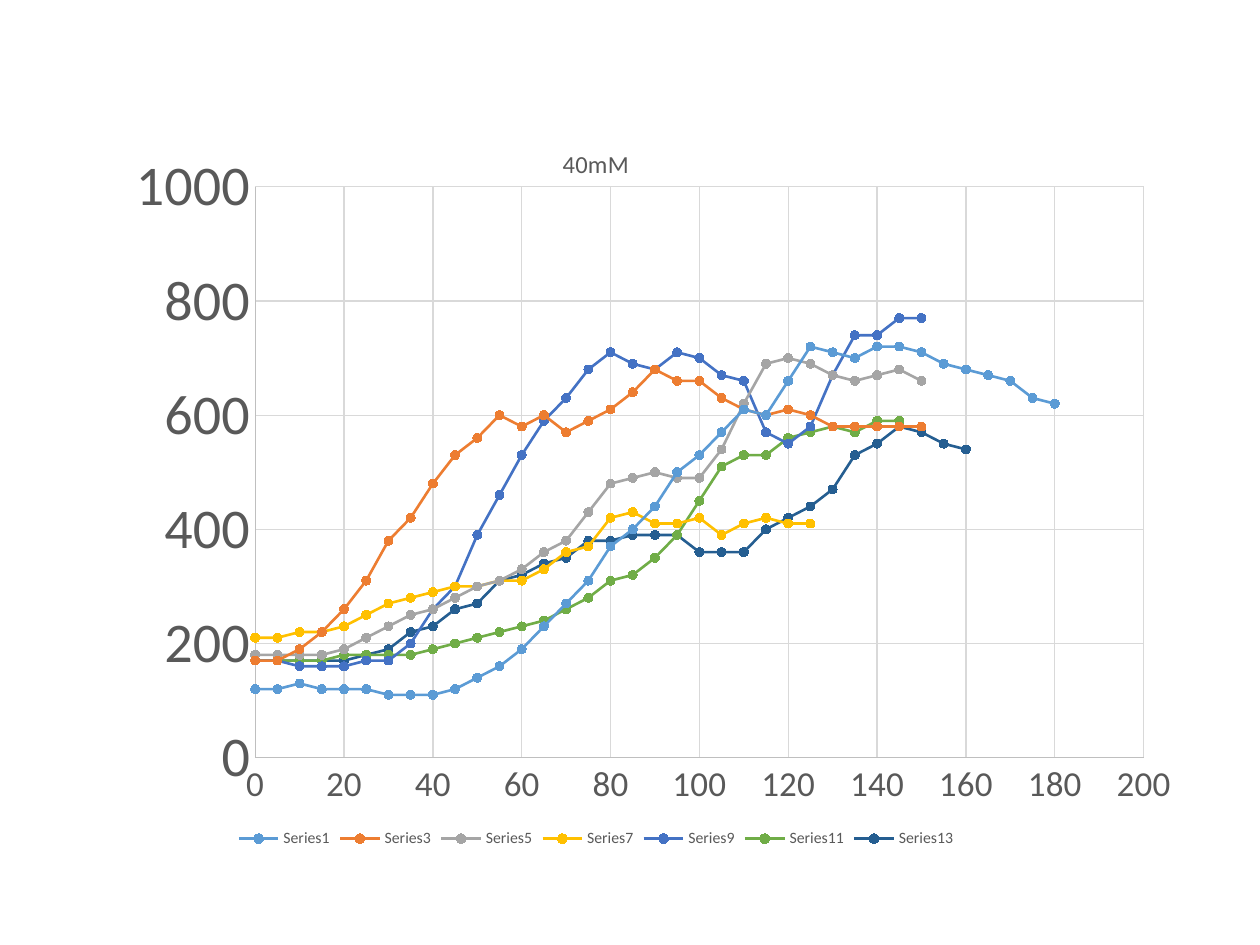
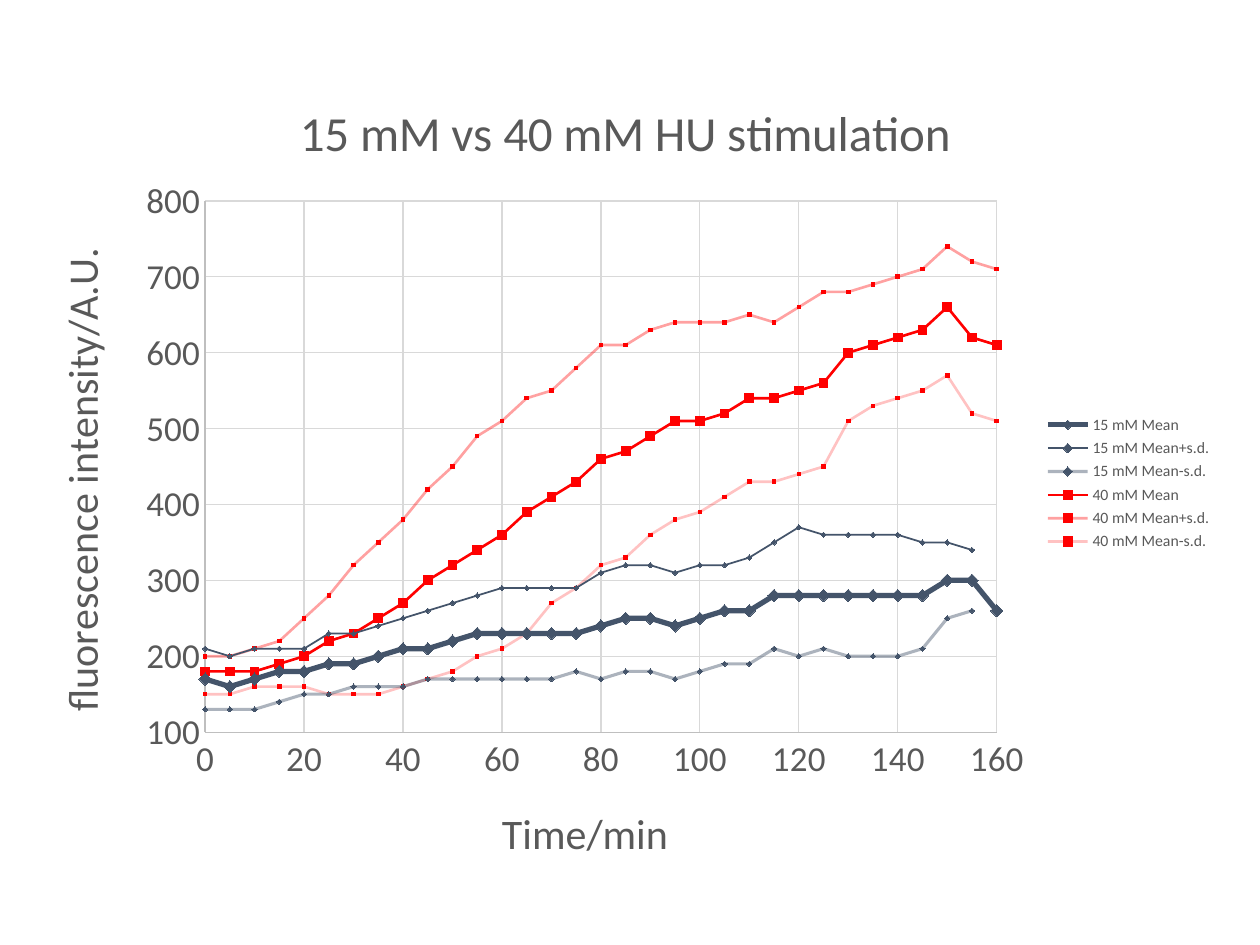
import lxml.etree
import pptx
import pptx.chart.data
import pptx.dml.color
import pptx.enum.chart
import pptx.oxml.ns
import pptx.util

Inches = pptx.util.Inches
Pt = pptx.util.Pt
MARK = pptx.enum.chart.XL_MARKER_STYLE
PLACE = pptx.enum.chart.XL_LEGEND_POSITION
NONE = pptx.enum.chart.XL_TICK_MARK.NONE
FONT = "Calibri"
STEP = 5

HUES = {
    "text": "595959", "axis": "BFBFBF", "grid": "D9D9D9",
    "sky": "5B9BD5", "orange": "ED7D31", "gray": "A5A5A5", "gold": "FFC000",
    "blue": "4472C4", "green": "70AD47", "navy": "255E91",
    "slate": "44546A", "red": "FF0000",
}

CELLS = [
    ("Series1", "sky", [
        120, 120, 130, 120, 120, 120, 110, 110, 110, 120, 140, 160, 190,
        230, 270, 310, 370, 400, 440, 500, 530, 570, 610, 600, 660, 720,
        710, 700, 720, 720, 710, 690, 680, 670, 660, 630, 620]),
    ("Series3", "orange", [
        170, 170, 190, 220, 260, 310, 380, 420, 480, 530, 560, 600, 580,
        600, 570, 590, 610, 640, 680, 660, 660, 630, 610, 600, 610, 600,
        580, 580, 580, 580, 580]),
    ("Series5", "gray", [
        180, 180, 180, 180, 190, 210, 230, 250, 260, 280, 300, 310, 330,
        360, 380, 430, 480, 490, 500, 490, 490, 540, 620, 690, 700, 690,
        670, 660, 670, 680, 660]),
    ("Series7", "gold", [
        210, 210, 220, 220, 230, 250, 270, 280, 290, 300, 300, 310, 310,
        330, 360, 370, 420, 430, 410, 410, 420, 390, 410, 420, 410, 410]),
    ("Series9", "blue", [
        170, 170, 160, 160, 160, 170, 170, 200, 260, 300, 390, 460, 530,
        590, 630, 680, 710, 690, 680, 710, 700, 670, 660, 570, 550, 580,
        670, 740, 740, 770, 770]),
    ("Series11", "green", [
        170, 170, 170, 170, 180, 180, 180, 180, 190, 200, 210, 220, 230,
        240, 260, 280, 310, 320, 350, 390, 450, 510, 530, 530, 560, 570,
        580, 570, 590, 590]),
    ("Series13", "navy", [
        170, 170, 170, 170, 170, 180, 190, 220, 230, 260, 270, 310, 320,
        340, 350, 380, 380, 390, 390, 390, 360, 360, 360, 400, 420, 440,
        470, 530, 550, 580, 570, 550, 540]),
]

MEANS = [
    ("15 mM Mean", [
        170, 160, 170, 180, 180, 190, 190, 200, 210, 210, 220, 230, 230,
        230, 230, 230, 240, 250, 250, 240, 250, 260, 260, 280, 280, 280,
        280, 280, 280, 280, 300, 300, 260]),
    ("15 mM Mean+s.d.", [
        210, 200, 210, 210, 210, 230, 230, 240, 250, 260, 270, 280, 290,
        290, 290, 290, 310, 320, 320, 310, 320, 320, 330, 350, 370, 360,
        360, 360, 360, 350, 350, 340]),
    ("15 mM Mean-s.d.", [
        130, 130, 130, 140, 150, 150, 160, 160, 160, 170, 170, 170, 170,
        170, 170, 180, 170, 180, 180, 170, 180, 190, 190, 210, 200, 210,
        200, 200, 200, 210, 250, 260]),
    ("40 mM Mean", [
        180, 180, 180, 190, 200, 220, 230, 250, 270, 300, 320, 340, 360,
        390, 410, 430, 460, 470, 490, 510, 510, 520, 540, 540, 550, 560,
        600, 610, 620, 630, 660, 620, 610]),
    ("40 mM Mean+s.d.", [
        200, 200, 210, 220, 250, 280, 320, 350, 380, 420, 450, 490, 510,
        540, 550, 580, 610, 610, 630, 640, 640, 640, 650, 640, 660, 680,
        680, 690, 700, 710, 740, 720, 710]),
    ("40 mM Mean-s.d.", [
        150, 150, 160, 160, 160, 150, 150, 150, 160, 170, 180, 200, 210,
        230, 270, 290, 320, 330, 360, 380, 390, 410, 430, 430, 440, 450,
        510, 530, 540, 550, 570, 520, 510]),
]

LOOKS = [
    ("slate", 3, MARK.DIAMOND, 7, 100),
    ("slate", 1, MARK.DIAMOND, 3, 100),
    ("slate", 1.75, MARK.DIAMOND, 3, 44),
    ("red", 1.5, MARK.SQUARE, 5, 100),
    ("red", 1.5, MARK.SQUARE, 2, 37),
    ("red", 1.5, MARK.SQUARE, 2, 24),
]


def tint(hue):
    """Return the named colour."""
    return pptx.dml.color.RGBColor.from_string(HUES[hue])


def set_font(font, size):
    """Give a font the shared face and colour."""
    font.name, font.size, font.bold = FONT, Pt(size), False
    font.color.rgb = tint("text")


def set_line(line, hue, width):
    """Colour a line and set its width."""
    line.color.rgb = tint(hue)
    line.width = Pt(width)


def add_title(owner, text, size):
    """Write a one-run title."""
    run = owner.text_frame.paragraphs[0].add_run()
    run.text = text
    set_font(run.font, size)


def set_axis(axis, low, high, unit, size, title=None):
    """Scale and style an axis with its grid and title."""
    axis.minimum_scale, axis.maximum_scale = low, high
    axis.major_unit = unit
    axis.major_tick_mark = axis.minor_tick_mark = NONE
    axis.has_major_gridlines = True
    set_line(axis.major_gridlines.format.line, "grid", 0.75)
    set_line(axis.format.line, "axis", 0.75)
    set_font(axis.tick_labels.font, size)
    axis.has_title = title is not None
    if title:
        add_title(axis.axis_title, title, 24)


def set_plot(chart, box):
    """Fix the inner plot area as shares of the chart."""
    area = chart._chartSpace.chart.plotArea
    tag = pptx.oxml.ns.qn
    for old in area.findall(tag("c:layout")):
        area.remove(old)
    layout = lxml.etree.Element(tag("c:layout"))
    manual = lxml.etree.SubElement(layout, tag("c:manualLayout"))
    parts = [("layoutTarget", "inner"), ("xMode", "edge"), ("yMode", "edge")]
    for name, val in parts + list(zip("xywh", box)):
        lxml.etree.SubElement(manual, tag("c:" + name)).set("val", str(val))
    area.insert(0, layout)


def set_curve(curve, hue, width, mark, size, alpha):
    """Style one curve and its markers."""
    line = curve.format.line
    set_line(line, hue, width)
    if alpha < 100:
        tag = pptx.oxml.ns.qn
        color = line._ln.find(".//" + tag("a:srgbClr"))
        lxml.etree.SubElement(color, tag("a:alpha")).set("val", str(alpha * 1000))
    curve.marker.style, curve.marker.size = mark, size
    curve.marker.format.fill.solid()
    curve.marker.format.fill.fore_color.rgb = tint(hue)
    set_line(curve.marker.format.line, hue, 0.75)


def add_plot(deck, frame, title, size, curves, looks, place, box):
    """Add a slide with a scatter chart and return the chart."""
    slide = deck.slides.add_slide(deck.slide_layouts[6])
    data = pptx.chart.data.XyChartData()
    for name, vals in curves:
        row = data.add_series(name)
        for i, val in enumerate(vals):
            row.add_data_point(i * STEP, val)
    kind = pptx.enum.chart.XL_CHART_TYPE.XY_SCATTER_LINES
    chart = slide.shapes.add_chart(kind, *map(Inches, frame), data).chart
    set_font(chart.font, 10)
    chart.has_title = True
    add_title(chart.chart_title, title, size)
    chart.chart_title.include_in_layout = False
    chart.has_legend = True
    chart.legend.position = place
    chart.legend.include_in_layout = False
    set_font(chart.legend.font, 9)
    chart.plots[0].vary_by_categories = False
    for curve, look in zip(chart.plots[0].series, looks):
        set_curve(curve, *look)
    set_plot(chart, box)
    return chart


def main():
    """Build both chart slides."""
    deck = pptx.Presentation()
    deck.slide_width, deck.slide_height = Inches(10), Inches(7.5)

    curves = [(name, vals) for name, _, vals in CELLS]
    looks = [(hue, 1.5, MARK.CIRCLE, 5, 100) for _, hue, _ in CELLS]
    chart = add_plot(deck, (-0.1, 0.96, 9.66, 5.81), "40mM", 14, curves,
                     looks, PLACE.BOTTOM, (0.22, 0.09, 0.73, 0.78))
    set_axis(chart.category_axis, 0, 200, 20, 20)
    set_axis(chart.value_axis, 0, 1000, 200, 32)

    chart = add_plot(deck, (0.2, 0.54, 9.52, 6.59),
                     "15 mM vs 40 mM HU stimulation", 28, MEANS, LOOKS,
                     PLACE.RIGHT, (0.15, 0.16, 0.66, 0.64))
    set_axis(chart.category_axis, 0, 160, 20, 20, "Time/min")
    set_axis(chart.value_axis, 100, 800, 100, 20, "fluorescence intensity/A.U.")
    frame = chart.value_axis.axis_title.text_frame
    frame._txBody.bodyPr.set("rot", "-5400000")

    deck.save("out.pptx")


if __name__ == "__main__":
    main()
